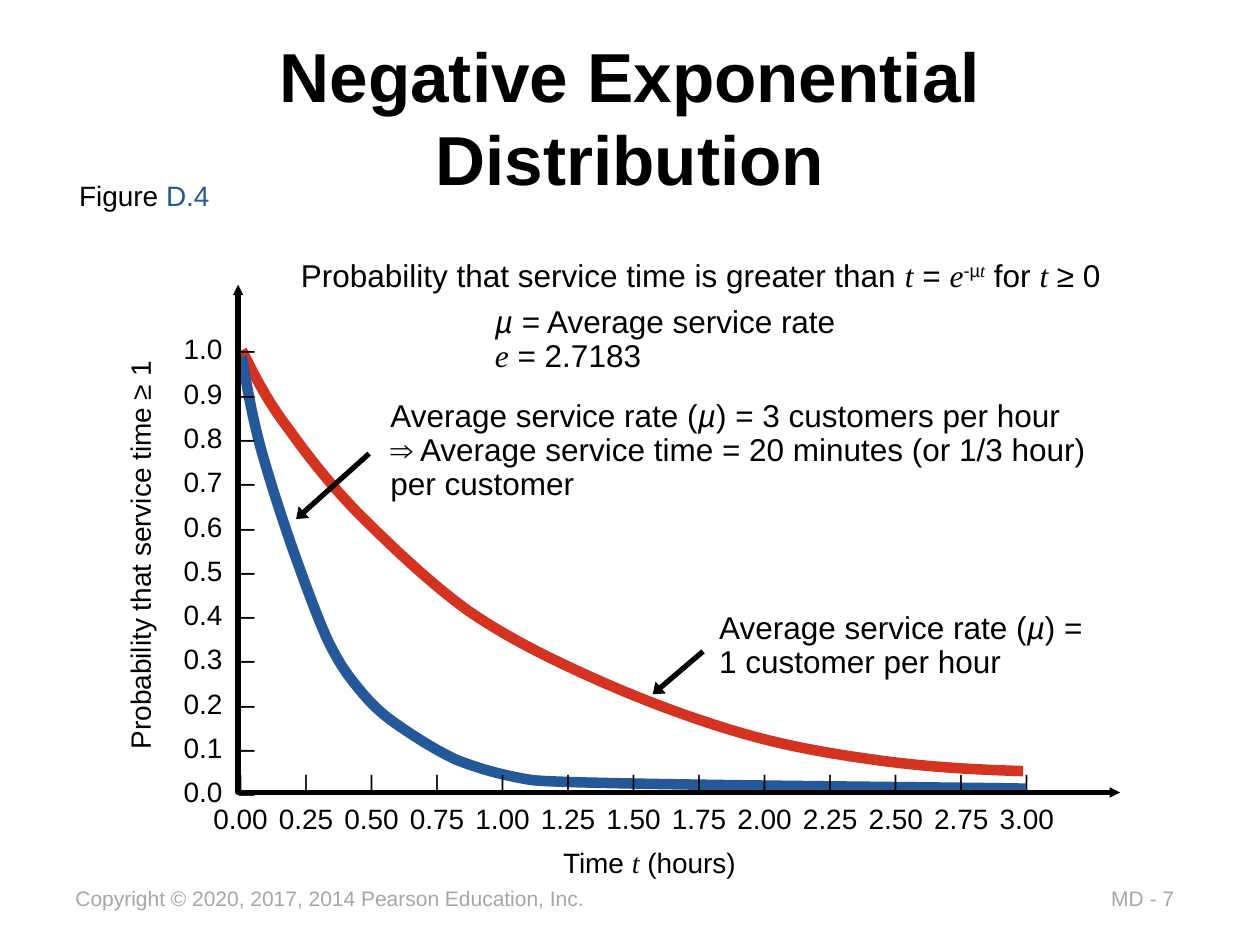
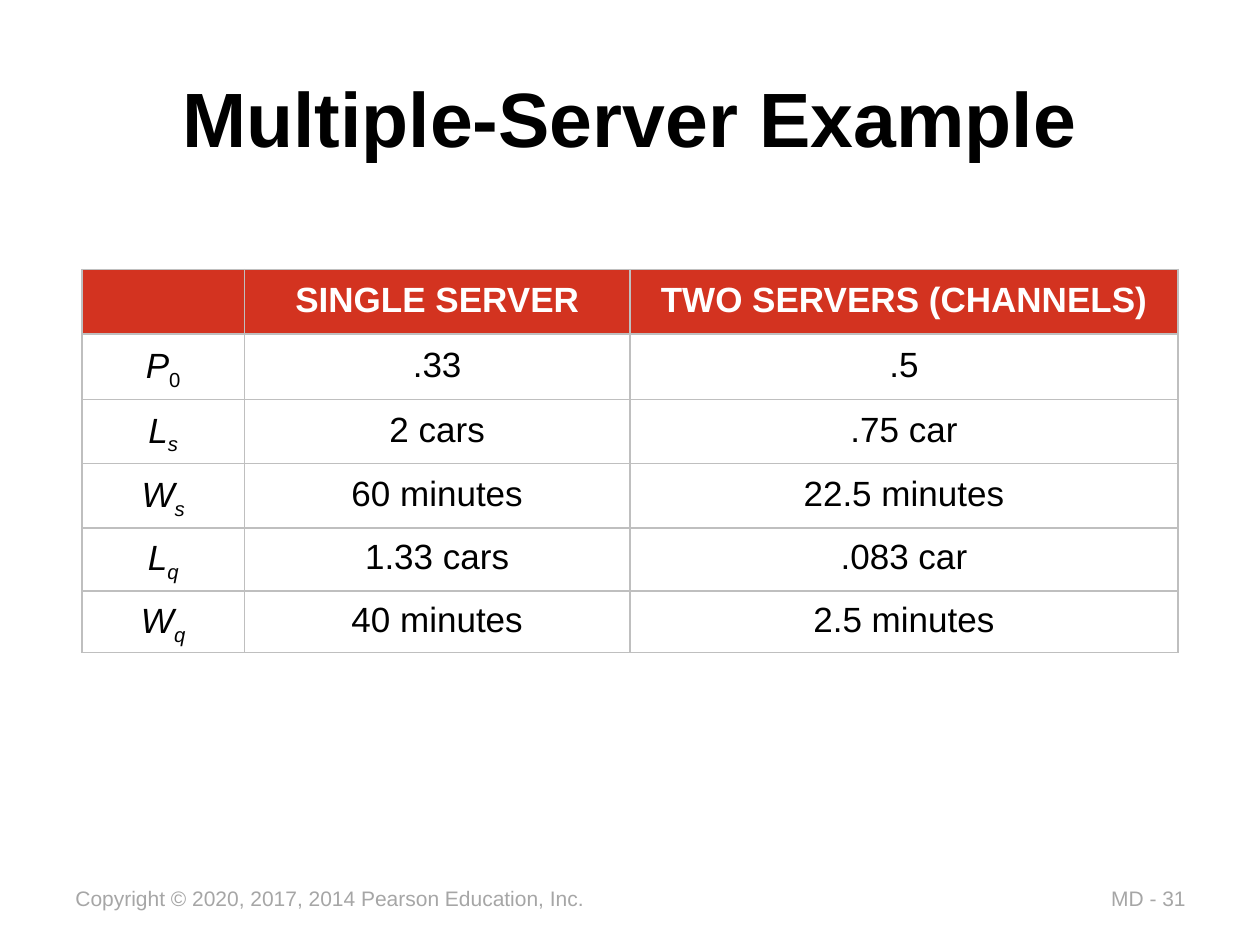
from lxml.etree import SubElement
from pptx import Presentation
from pptx.dml.color import RGBColor
from pptx.enum.shapes import MSO_CONNECTOR as Link
from pptx.enum.text import MSO_ANCHOR as Anchor, MSO_AUTO_SIZE as Fit, PP_ALIGN as Align
from pptx.oxml import parse_xml
from pptx.oxml.ns import nsdecls, qn
from pptx.util import Inches, Pt

BLACK = RGBColor(0, 0, 0)
WHITE = RGBColor(255, 255, 255)
RED = RGBColor(0xD3, 0x33, 0x20)
BLUE = RGBColor(0x25, 0x58, 0x98)
GRAY = RGBColor(0xA6, 0xA6, 0xA6)
RULE = RGBColor(0xBF, 0xBF, 0xBF)
SANS, SERIF = "Arial", "Times New Roman"
COPYRIGHT = "Copyright © 2020, 2017, 2014 Pearson Education, Inc."

# A styled run is (text, marks): i italic, s serif, b blue, ^ raised, _ lowered.
MU, T, E = ("µ", "i"), ("t", "is"), ("e", "is")

# Text boxes: place, size, line spacing, paragraphs of runs
NOTES = [
    ((0.53, 1.37, 1.29, 0.37), 16, None, [["Figure ", ("D.4", "b")]]),
    ((4.37, 6.66, 1.59, 0.37), 16, None, [["Time ", T, " (hours)"]]),
    ((2.29, 1.98, 6.66, 0.4), 18, None,
     [["Probability that service time is greater than ", T, " = ", E,
       ("-µ", "^"), ("t", "is^"), " for ", T, " ≥ 0"]]),
    ((3.83, 2.38, 2.93, 0.65), 18, 0.9,
     [[MU, " = Average service rate"], [E, " = 2.7183"]]),
    ((5.61, 4.81, 3.13, 0.65), 18, 0.9,
     [["Average service rate (", MU, ") ="], ["1 customer per hour"]]),
]
FAST_NOTE = [["Average service rate (", MU, ") = 3 customers per hour"],
             ["⇒ Average service time = 20 minutes (or 1/3 hour) per customer"]]
Y_NAME = "Probability that service time ≥ 1"
ARROWS = [((5.58, 5.17), (5.18, 5.51)), ((2.93, 3.6), (2.35, 4.12))]

# Cubic curves: a start point, then two handles and an end point per piece
CURVES = [
    (RED, [(1.92, 2.78),
           (2.02, 2.98), (2.12, 3.18), (2.28, 3.39),
           (2.43, 3.6), (2.59, 3.81), (2.83, 4.06),
           (3.07, 4.3), (3.4, 4.62), (3.72, 4.85),
           (4.04, 5.07), (4.39, 5.24), (4.75, 5.4),
           (5.11, 5.56), (5.51, 5.71), (5.89, 5.82),
           (6.27, 5.93), (6.64, 5.99), (7.01, 6.04),
           (7.39, 6.09), (7.76, 6.11), (8.12, 6.12)]),
    (BLUE, [(1.92, 2.83),
            (1.96, 3.07), (2, 3.3), (2.07, 3.56),
            (2.14, 3.81), (2.23, 4.09), (2.32, 4.35),
            (2.41, 4.6), (2.52, 4.91), (2.61, 5.1),
            (2.7, 5.28), (2.76, 5.36), (2.85, 5.47),
            (2.94, 5.58), (3.02, 5.66), (3.15, 5.75),
            (3.28, 5.84), (3.45, 5.95), (3.62, 6.03),
            (3.8, 6.1), (3.97, 6.15), (4.21, 6.19),
            (4.45, 6.23), (7.83, 6.25), (8.14, 6.26)]),
]
AXES = [(1.89, 2.26), (1.89, 6.29), (8.89, 6.29)]

HEADS = ["", "SINGLE SERVER", "TWO SERVERS (CHANNELS)"]
ROWS = [
    ([("P", "i"), ("0", "_")], ".33", ".5"),
    ([("L", "i"), ("s", "i_")], "2 cars", ".75 car"),
    ([("W", "i"), ("s", "i_")], "60 minutes", "22.5 minutes"),
    ([("L", "i"), ("q", "i_")], "1.33 cars", ".083 car"),
    ([("W", "i"), ("q", "i_")], "40 minutes", "2.5 minutes"),
]
WIDTHS = [1.29, 3.06, 4.35]
HEIGHTS = [0.51, 0.52, 0.51, 0.51, 0.5, 0.49]


def write(para, runs, size, color=BLACK, bold=False):
    for item in runs:
        text, marks = (item, "") if isinstance(item, str) else item
        run = para.add_run()
        run.text = text
        font = run.font
        font.size, font.bold, font.italic = Pt(size), bold, "i" in marks
        font.name = SERIF if "s" in marks else SANS
        font.color.rgb = BLUE if "b" in marks else color
        if "^" in marks:
            font._element.set("baseline", "30000")
        if "_" in marks:
            font._element.set("baseline", "-25000")


def add_text(slide, place, paras, size, spacing=None, color=BLACK, wrap=False):
    box = slide.shapes.add_textbox(*map(Inches, place))
    frame = box.text_frame
    frame.word_wrap, frame.auto_size = wrap, Fit.SHAPE_TO_FIT_TEXT
    for i, runs in enumerate(paras):
        para = frame.add_paragraph() if i else frame.paragraphs[0]
        para.line_spacing = spacing
        write(para, runs, size, color)
    return box


def set_tabs(para, stops, align):
    tabs = SubElement(para._p.get_or_add_pPr(), qn("a:tabLst"))
    for stop in stops:
        SubElement(tabs, qn("a:tab"), pos=str(Inches(stop)), algn=align)


def style_line(shape, color, width, ends=(), breadth="med"):
    shape.line.color.rgb, shape.line.width = color, Pt(width)
    for end in ends:
        SubElement(shape.line._get_or_add_ln(), qn(f"a:{end}"),
                   type="triangle", w=breadth, len="sm")


def add_path(slide, points):
    spots = [(Inches(x), Inches(y)) for x, y in points]
    pen = slide.shapes.build_freeform(*spots[0])
    pen.add_line_segments(spots[1:], close=False)
    path = pen.convert_to_shape()
    path.shadow.inherit = False
    path.fill.background()
    return path


def bend(path):
    """Turn each three straight pieces of the path into one cubic piece."""
    lines = list(path._element.iter(qn("a:lnTo")))
    for i in range(0, len(lines), 3):
        trio = lines[i:i + 3]
        trio[0].tag = qn("a:cubicBezTo")
        for line in trio[1:]:
            trio[0].append(line[0])
            line.getparent().remove(line)


def add_slide(deck, title, size, number):
    slide = deck.slides.add_slide(deck.slide_layouts[5])
    head = slide.shapes.title
    head.left, head.top, head.width, head.height = map(Inches, (0.5, 0.3, 9, 1.25))
    frame = head.text_frame
    frame.auto_size, frame.word_wrap = Fit.NONE, True
    frame.vertical_anchor = Anchor.MIDDLE
    frame.margin_left = frame.margin_right = Inches(0.2)
    frame.paragraphs[0].alignment = Align.CENTER
    write(frame.paragraphs[0], [title], size, bold=True)
    add_text(slide, (8.72, 6.98, 0.82, 0.3), [[f"MD - {number}"]], 12, color=GRAY)
    add_text(slide, (0.5, 6.98, 4.28, 0.3), [[COPYRIGHT]], 12, color=GRAY)
    return slide


def add_scales(slide):
    marks = [[f"{n / 10:.1f}\t–"] for n in range(10, -1, -1)]
    box = add_text(slide, (1.36, 2.5, 0.76, 3.98), marks, 16, 1.32, wrap=True)
    box.text_frame.margin_right = 0
    for para in box.text_frame.paragraphs:
        set_tabs(para, [0.44], "l")

    name = add_text(slide, (-0.55, 4.2, 3.32, 0.37), [[Y_NAME]], 16)
    name.rotation = 270

    hours = "".join(f"\t{n / 4:.2f}" for n in range(13))
    box = add_text(slide, (1.39, 6.02, 7.09, 0.66), [["\t|" * 13], [hours]], 16, 1.2)
    ticks = box.text_frame.paragraphs
    ticks[0].runs[0].font.size = Pt(12)
    for para in ticks:
        set_tabs(para, [0.42 + 0.52 * n for n in range(13)], "ctr")


def add_arrow(slide, start, end):
    spots = map(Inches, start + end)
    line = slide.shapes.add_connector(Link.STRAIGHT, *spots)
    style_line(line, BLACK, 3, ["tailEnd"])
    SubElement(line._element.spPr, qn("a:effectLst"))


def add_borders(cell):
    props = cell._tc.get_or_add_tcPr()
    for i, side in enumerate("LRTB"):
        props.insert(i, parse_xml(
            f'<a:ln{side} {nsdecls("a")} w="12700"><a:solidFill>'
            f'<a:srgbClr val="{RULE}"/></a:solidFill></a:ln{side}>'))


def add_grid(slide):
    place = map(Inches, (0.65, 2.14, sum(WIDTHS), sum(HEIGHTS)))
    grid = slide.shapes.add_table(len(HEIGHTS), len(WIDTHS), *place).table
    grid.first_row = grid.horz_banding = False
    for col, width in zip(grid.columns, WIDTHS):
        col.width = Inches(width)
    for r, row in enumerate([HEADS] + ROWS):
        grid.rows[r].height = Inches(HEIGHTS[r])
        for c, runs in enumerate(row):
            cell = grid.cell(r, c)
            cell.vertical_anchor = Anchor.MIDDLE
            if r:
                cell.fill.background()
            else:
                cell.fill.solid()
                cell.fill.fore_color.rgb = RED
            add_borders(cell)
            para = cell.text_frame.paragraphs[0]
            para.alignment, para.line_spacing = Align.CENTER, 0.9
            if runs:
                runs = [runs] if isinstance(runs, str) else runs
                write(para, runs, 20, BLACK if r else WHITE, bold=not r)


def main():
    deck = Presentation()
    deck.slide_width, deck.slide_height = Inches(10), Inches(7.5)

    slide = add_slide(deck, "Negative Exponential Distribution", 39.6, 7)
    for color, knots in CURVES:
        curve = add_path(slide, knots)
        bend(curve)
        style_line(curve, color, 6)
    axes = add_path(slide, AXES)
    style_line(axes, BLACK, 3, ["headEnd", "tailEnd"], "sm")
    add_scales(slide)
    for place, size, spacing, paras in NOTES:
        add_text(slide, place, paras, size, spacing)
    add_text(slide, (3, 3.13, 5.96, 0.92), FAST_NOTE, 18, 0.9, wrap=True)
    for start, end in ARROWS:
        add_arrow(slide, start, end)

    add_grid(add_slide(deck, "Multiple-Server Example", 44, 31))
    deck.save("out.pptx")


if __name__ == "__main__":
    main()
